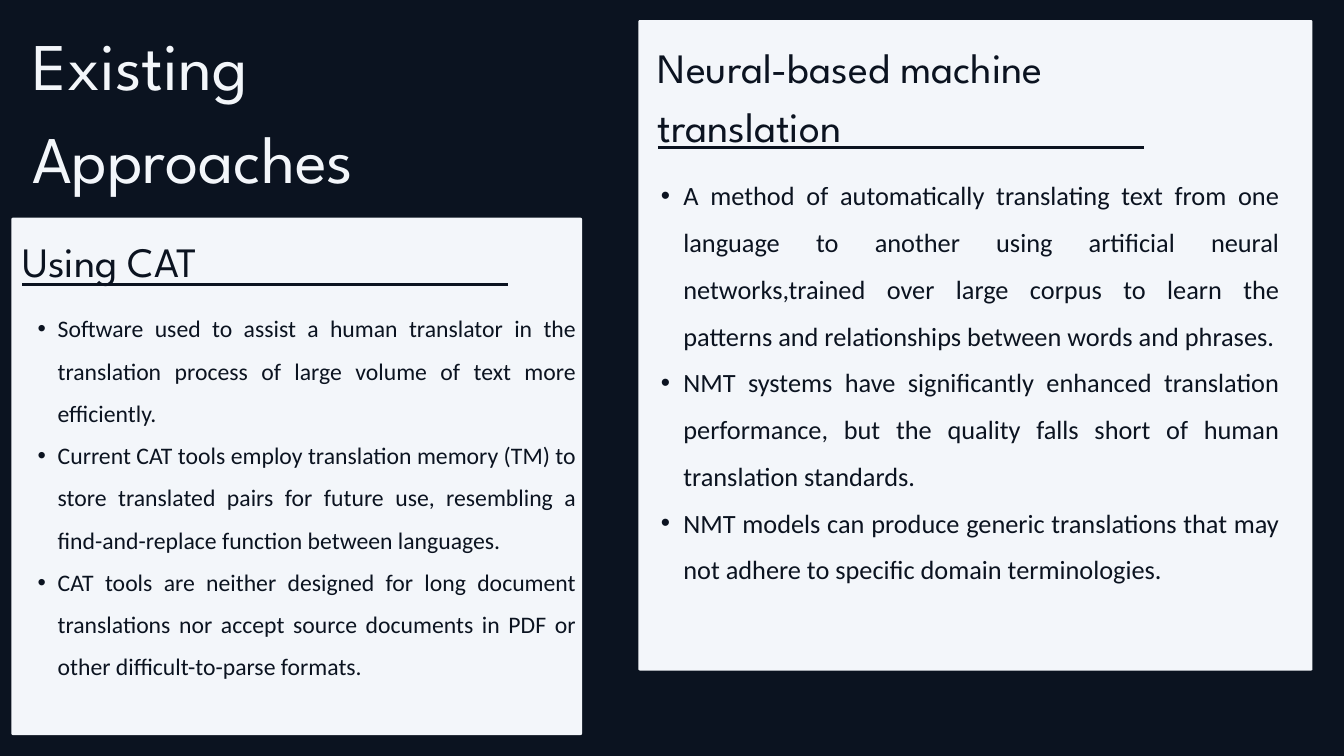
"""Build the slide on existing translation approaches."""
from lxml.etree import SubElement
from pptx import Presentation
from pptx.dml.color import RGBColor
from pptx.enum.shapes import MSO_CONNECTOR, MSO_SHAPE
from pptx.enum.text import MSO_AUTO_SIZE, PP_ALIGN
from pptx.oxml.ns import qn
from pptx.util import Cm, Pt

NIGHT = "0B1320"
PALE = "F3F6FA"

CAT_POINTS = [
    "Software used to assist a human translator in the translation process of large volume of text more efficiently.",
    "Current CAT tools employ translation memory (TM) to store translated pairs for future use, "
    "resembling a find-and-replace function between languages.",
    "CAT tools are neither designed for long document translations nor accept source documents in PDF "
    "or other difficult-to-parse formats.",
]
NEURAL_POINTS = [
    "A method of automatically translating text from one language to another using artificial neural "
    "networks,trained over large corpus to learn the patterns and relationships between words and phrases.",
    "NMT systems have significantly enhanced translation performance, but the quality falls short of "
    "human translation standards.",
    "NMT models can produce generic translations that may not adhere to specific domain terminologies.",
]


def color(hex_code):
    """Turn a hex string into a colour."""
    return RGBColor.from_string(hex_code)


class SlideBuilder:
    """Hold the style and the current slide."""

    heading_font = "League Spartan"
    body_font = "Calibri"
    corner = 0.06
    rule_length = 18.38

    def __init__(self, slide):
        """Start on a slide and paint its background."""
        self.slide = slide
        fill = slide.background.fill
        fill.solid()
        fill.fore_color.rgb = color(NIGHT)

    def card(self, left, top, width, height):
        """Add a pale panel with slightly rounded corners."""
        panel = self.slide.shapes.add_shape(
            MSO_SHAPE.ROUNDED_RECTANGLE, Cm(left), Cm(top), Cm(width), Cm(height))
        panel.adjustments[0] = self.corner / min(width, height)
        panel.shadow.inherit = False
        panel.fill.solid()
        panel.fill.fore_color.rgb = color(PALE)
        panel.line.fill.background()

    def rule(self, left, top):
        """Add the line under a heading."""
        underline = self.slide.shapes.add_connector(
            MSO_CONNECTOR.STRAIGHT, Cm(left), Cm(top), Cm(left + self.rule_length), Cm(top))
        underline.line.color.rgb = color(NIGHT)
        underline.line.width = Pt(3)
        SubElement(underline._element.spPr, qn("a:effectLst"))

    def frame(self, left, top, width, height):
        """Add an empty wrapping text box without margins."""
        box = self.slide.shapes.add_textbox(Cm(left), Cm(top), Cm(width), Cm(height))
        text = box.text_frame
        text.word_wrap = True
        text.auto_size = MSO_AUTO_SIZE.SHAPE_TO_FIT_TEXT
        text.margin_left = text.margin_top = text.margin_right = text.margin_bottom = 0
        return text

    def add_wording(self, paragraph, wording, font, size, spacing, ink):
        """Add one styled run to a paragraph."""
        paragraph.line_spacing = Pt(spacing)
        run = paragraph.add_run()
        run.text = wording
        run.font.name = font
        run.font.size = Pt(size)
        run.font.color.rgb = color(ink)

    def heading(self, bounds, wording, size=44.8, spacing=62.7, ink=NIGHT):
        """Add a title or card heading."""
        paragraph = self.frame(*bounds).paragraphs[0]
        self.add_wording(paragraph, wording, self.heading_font, size, spacing, ink)

    def bullets(self, bounds, points, size, spacing, hang):
        """Add a justified bulleted list."""
        text = self.frame(*bounds)
        for index, point in enumerate(points):
            paragraph = text.add_paragraph() if index else text.paragraphs[0]
            paragraph.level = 1
            paragraph.alignment = PP_ALIGN.JUSTIFY
            properties = paragraph._p.get_or_add_pPr()
            properties.set("marL", str(Cm(2 * hang)))
            properties.set("indent", str(-Cm(hang)))
            SubElement(properties, qn("a:buFont"), typeface="Arial")
            SubElement(properties, qn("a:buChar"), char="•")
            self.add_wording(paragraph, point, self.body_font, size, spacing, NIGHT)


def main():
    """Build and save the slide."""
    deck = Presentation()
    deck.slide_width, deck.slide_height = Cm(50.8), Cm(28.58)
    page = SlideBuilder(deck.slides.add_slide(deck.slide_layouts[6]))

    page.card(24.13, 0.76, 25.48, 24.59)
    page.card(0.43, 8.23, 21.57, 19.56)
    page.rule(24.87, 5.59)
    page.rule(0.84, 10.77)

    page.heading((1.22, 0.38, 18.29, 6.91), "Existing Approaches", 71.4, 100, PALE)
    page.heading((24.87, 1.27, 21.31, 4.32), "Neural-based machine translation")
    page.bullets((24.13, 6.22, 24.23, 19.1), NEURAL_POINTS, 28.2, 50.1, 0.85)
    page.heading((0.84, 8.59, 21.16, 2.11), "Using CAT")
    page.bullets((0.66, 11.35, 21.13, 17.22), CAT_POINTS, 25.4, 45.3, 0.76)

    deck.save("out.pptx")


if __name__ == "__main__":
    main()
